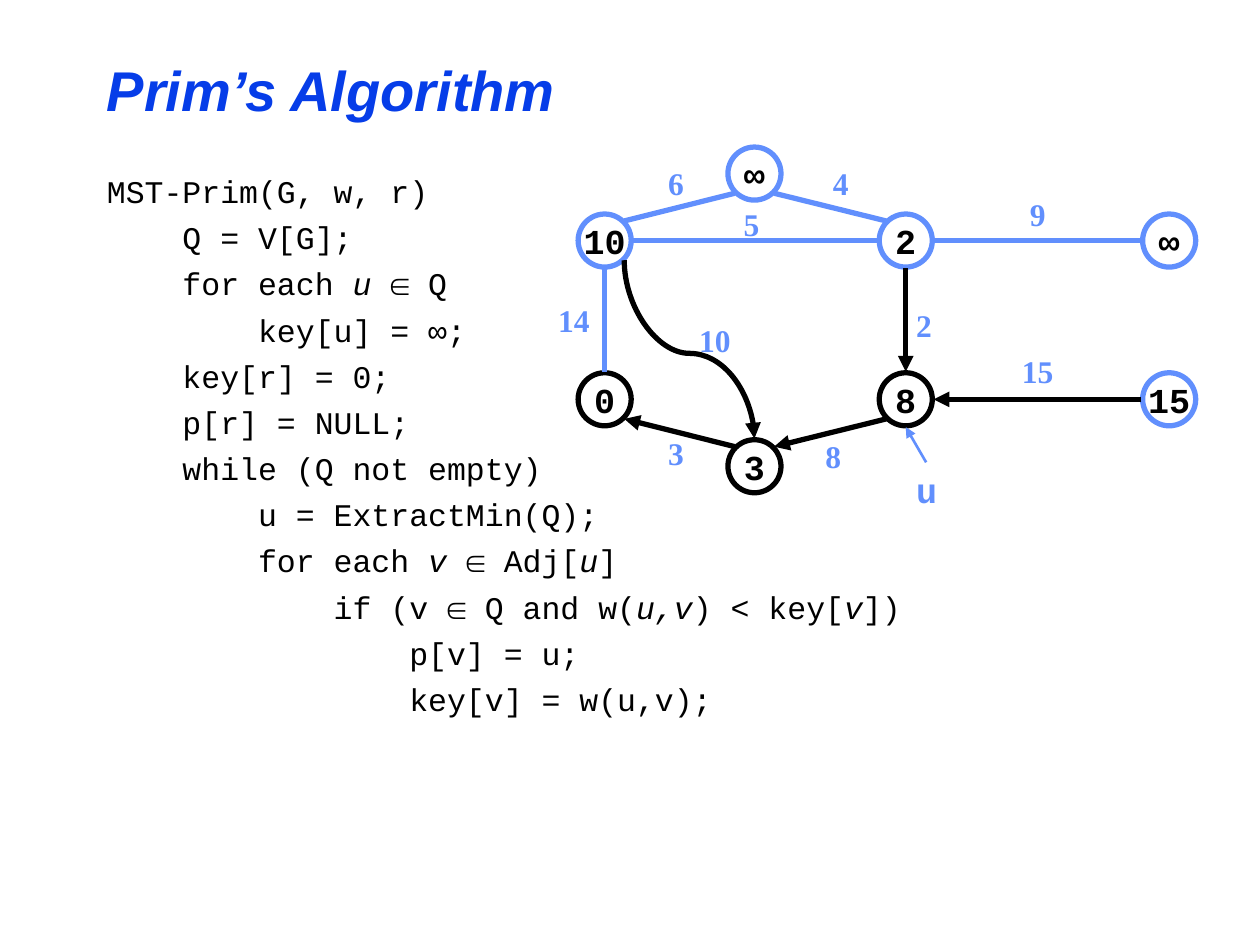
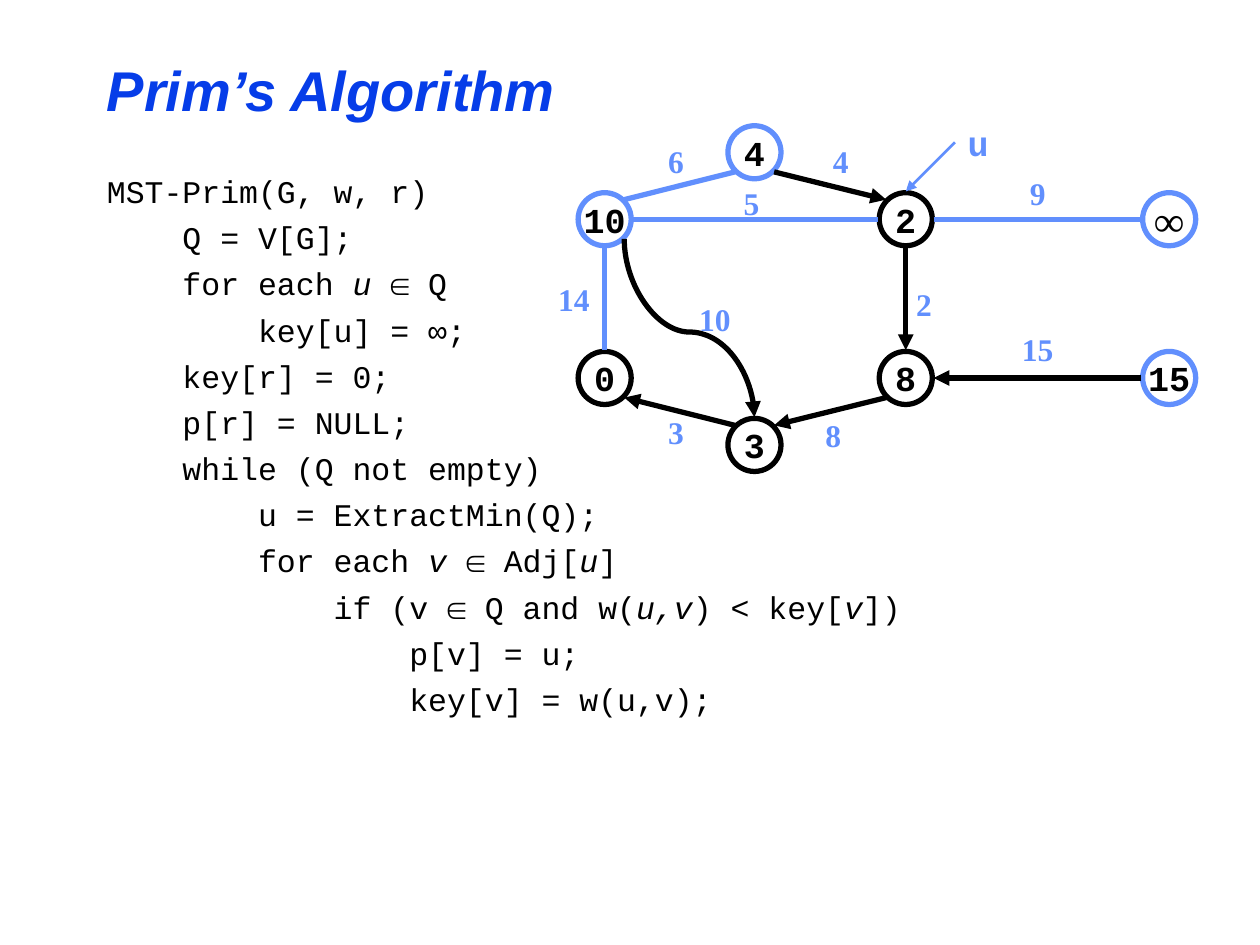
import math

import pptx
import pptx.dml.color
import pptx.enum.shapes
import pptx.enum.text
import pptx.oxml
import pptx.oxml.ns
import pptx.util

Cm = pptx.util.Cm
Pt = pptx.util.Pt
Kind = pptx.enum.shapes.MSO_CONNECTOR
Align = pptx.enum.text.PP_ALIGN
Anchor = pptx.enum.text.MSO_ANCHOR
Fit = pptx.enum.text.MSO_AUTO_SIZE

HUES = {"title": "063DE8", "open": "618FFD", "done": "000000"}
MONO, SERIF, SANS = "Courier New", "Times New Roman", "Arial"
SIZE, REACH = 1.07, 0.56
LEFT = 11

CODE = """MST-Prim(G, w, r)
    Q = V[G];
    for each *u *∈ Q
        key[u] = ∞;
    key[r] = 0;
    p[r] = NULL;
    while (Q not empty)
        u = ExtractMin(Q);
        for each *v *∈ Adj[*u*]
            if (v ∈ Q and w(*u,v*) < key[*v*])
                p[v] = u;
                key[v] = w(u,v);""".split("\n")

SPOTS = {
    "a": (1.19, 1.88), "b": (7.26, 1.88), "c": (12.57, 1.88),
    "d": (1.19, 5.08), "e": (7.26, 5.08), "f": (12.57, 5.08),
    "g": (4.21, 6.43), "t": (4.21, 0.53),
}
KEYS = {"a": "10", "b": "2", "c": "∞", "d": "0", "e": "8", "f": "15", "g": "3"}
PLAIN = ["ta", "ab", "ad", "bc"]
TREE = ["gd", "eg", "be", "fe"]
COSTS = [
    ("14", 0.57, 3.48), ("10", 3.41, 3.89), ("3", 2.63, 6.17), ("6", 2.63, 0.71),
    ("4", 5.95, 0.71), ("5", 4.15, 1.55), ("2", 7.63, 3.58), ("9", 9.92, 1.35),
    ("15", 9.92, 4.5), ("8", 5.8, 6.22),
]
STEPS = [
    {"top": 2.97, "keys": {"t": "∞"}, "done": "deg", "tree": False, "inf": (MONO, 20),
     "mark": (7.68, 6.9), "tail": (7.67, 6.35), "tip": ("e", 0, 1)},
    {"top": 2.54, "keys": {"t": "4"}, "done": "bdeg", "tree": True, "inf": (SERIF, 24),
     "mark": (8.72, 0.34), "tail": (8.25, 0.33), "tip": ("b", 0, -1)},
]


def hue(name):
    """Give the colour of that name."""
    return pptx.dml.color.RGBColor.from_string(HUES[name])


def style(font, face, size, tint, bold=True):
    """Set face, size, colour and weight of a font."""
    font.name, font.size, font.bold = face, Pt(size), bold
    font.color.rgb = hue(tint)


def place(shape, left, top, width, height):
    """Move and size a shape, in centimetres."""
    shape.left, shape.top = Cm(left), Cm(top)
    shape.width, shape.height = Cm(width), Cm(height)


def write(shape, text, face, size, tint):
    """Put one centred, unwrapped line in a shape."""
    frame = shape.text_frame
    frame.word_wrap = False
    frame.vertical_anchor = Anchor.MIDDLE
    line = frame.paragraphs[0]
    line.text, line.alignment = text, Align.CENTER
    style(line.font, face, size, tint)


def label(slide, box, text, x, y, face, size):
    """Centre a label on a point of the box."""
    wide, high = 1.14, 1.02
    shape = slide.shapes.add_textbox(
        Cm(box[0] + x - wide / 2), Cm(box[1] + y - high / 2), Cm(wide), Cm(high))
    write(shape, text, face, size, "open")


def node(slide, box, name, text, tint, face, size):
    """Draw a ring with its key."""
    x, y = SPOTS[name]
    ring = slide.shapes.add_shape(
        pptx.enum.shapes.MSO_SHAPE.OVAL, Cm(box[0] + x - SIZE / 2),
        Cm(box[1] + y - SIZE / 2), Cm(SIZE), Cm(SIZE))
    ring.shadow.inherit = False
    ring.fill.background()
    ring.line.color.rgb, ring.line.width = hue(tint), Pt(3)
    write(ring, text, face, size, "done")


def site(name, x, y):
    """Give the point just outside a ring in a compass direction."""
    far = REACH / math.hypot(x, y)
    return SPOTS[name][0] + x * far, SPOTS[name][1] + y * far


def link(slide, box, start, end, tint, width=3, arrow=None, kind=Kind.STRAIGHT):
    """Draw a connector, with an arrowhead on the named end if any."""
    ends = [Cm(box[i] + point[i]) for point in (start, end) for i in (0, 1)]
    line = slide.shapes.add_connector(kind, *ends)
    line.line.color.rgb, line.line.width = hue(tint), Pt(width)
    props = line._element.spPr
    if arrow:
        head = pptx.oxml.ns.qn("a:" + arrow)
        props.find(pptx.oxml.ns.qn("a:ln")).makeelement(head)
        item = pptx.oxml.parse_xml(
            f'<a:{arrow} {pptx.oxml.ns.nsdecls("a")} type="triangle"/>')
        props.find(pptx.oxml.ns.qn("a:ln")).append(item)
    props.append(pptx.oxml.parse_xml(f'<a:effectLst {pptx.oxml.ns.nsdecls("a")}/>'))
    return line


def edge(slide, box, pair, tint, arrow=None):
    """Join two rings at the sides that face each other."""
    one, two = pair
    x, y = (SPOTS[two][i] - SPOTS[one][i] for i in (0, 1))
    x, y = (x > 0) - (x < 0), (y > 0) - (y < 0)
    link(slide, box, site(one, x, y), site(two, -x, -y), tint, arrow=arrow)


def curve(slide, box):
    """Draw the bent arrow from ring a to ring g."""
    (x1, y1), (x2, y2) = site("a", 1, 1), site("g", 0, -1)
    x, y = (x1 + x2) / 2, (y1 + y2) / 2
    w, h = (y2 - y1) / 2, (x2 - x1) / 2
    line = link(slide, box, (x + w, y - h), (x - w, y + h), "done",
                arrow="headEnd", kind=Kind.CURVE)
    props = line._element.spPr
    props.xfrm.set("rot", "5400000")
    geom = props.find(pptx.oxml.ns.qn("a:prstGeom"))
    old = geom.find(pptx.oxml.ns.qn("a:avLst"))
    if old is not None:
        geom.remove(old)
    geom.append(pptx.oxml.parse_xml(
        f'<a:avLst {pptx.oxml.ns.nsdecls("a")}><a:gd name="adj1" fmla="val 47800"/></a:avLst>'))


def graph(slide, box, step):
    """Draw the weighted graph at one step."""
    for name, text in {**KEYS, **step["keys"]}.items():
        tint = "done" if name in step["done"] else "open"
        face, size = step["inf"] if text == "∞" else (MONO, 20)
        node(slide, box, name, text, tint, face, size)
    for pair in PLAIN + ([] if step["tree"] else ["tb"]):
        edge(slide, box, pair, "open")
    for pair in TREE + (["tb"] if step["tree"] else []):
        edge(slide, box, pair, "done", "tailEnd")
    curve(slide, box)
    for text, x, y in COSTS:
        label(slide, box, text, x, y, SERIF, 18)
    label(slide, box, "u", *step["mark"], MONO, 20)
    link(slide, box, step["tail"], site(*step["tip"]), "open", 1.5, "tailEnd")


def head(shape):
    """Fill the title."""
    place(shape, 1.9, 0.85, 21.6, 1.9)
    shape.text_frame.vertical_anchor = Anchor.MIDDLE
    line = shape.text_frame.paragraphs[0]
    line.text, line.alignment = "Prim’s Algorithm", Align.LEFT
    style(line.font, SANS, 32, "title")
    line.font.italic = True


def code(shape):
    """Fill the body with the code, italic between stars."""
    place(shape, 1.9, 3.34, 21.8, 15.07)
    frame = shape.text_frame
    frame.auto_size = Fit.NONE
    for row, text in enumerate(CODE):
        line = frame.add_paragraph() if row else frame.paragraphs[0]
        props = line._p.get_or_add_pPr()
        props.append(pptx.oxml.parse_xml(f'<a:buNone {pptx.oxml.ns.nsdecls("a")}/>'))
        line.space_before = Pt(4.8 if row else 0)
        style(line.font, MONO, 18, "done", False)
        for turn, part in enumerate(text.split("*")):
            run = line.add_run()
            run.text = part
            if turn % 2:
                run.font.italic = True


def main():
    """Build the deck."""
    deck = pptx.Presentation()
    deck.slide_width, deck.slide_height = Cm(25.4), Cm(19.05)
    for step in STEPS:
        slide = deck.slides.add_slide(deck.slide_layouts[1])
        head(slide.shapes.title)
        code(slide.placeholders[1])
        graph(slide, (LEFT, step["top"]), step)
    deck.save("out.pptx")


if __name__ == "__main__":
    main()
